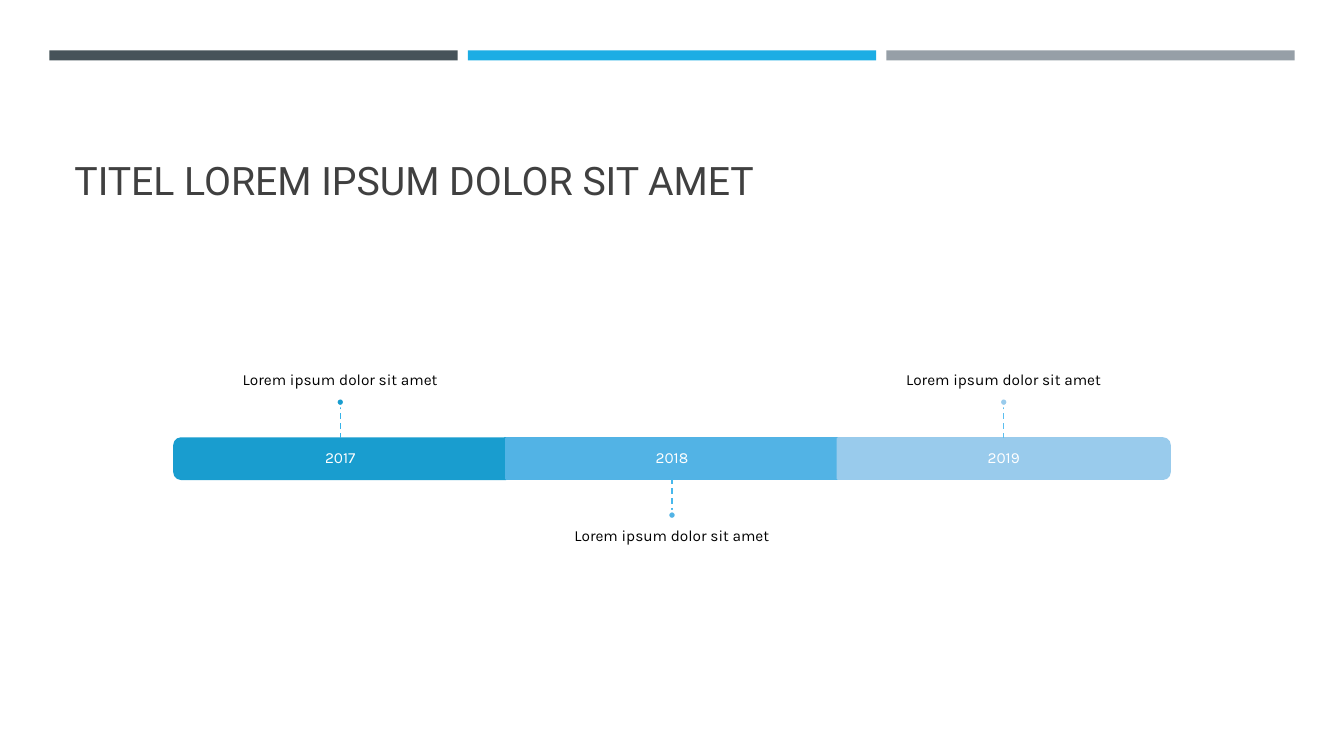
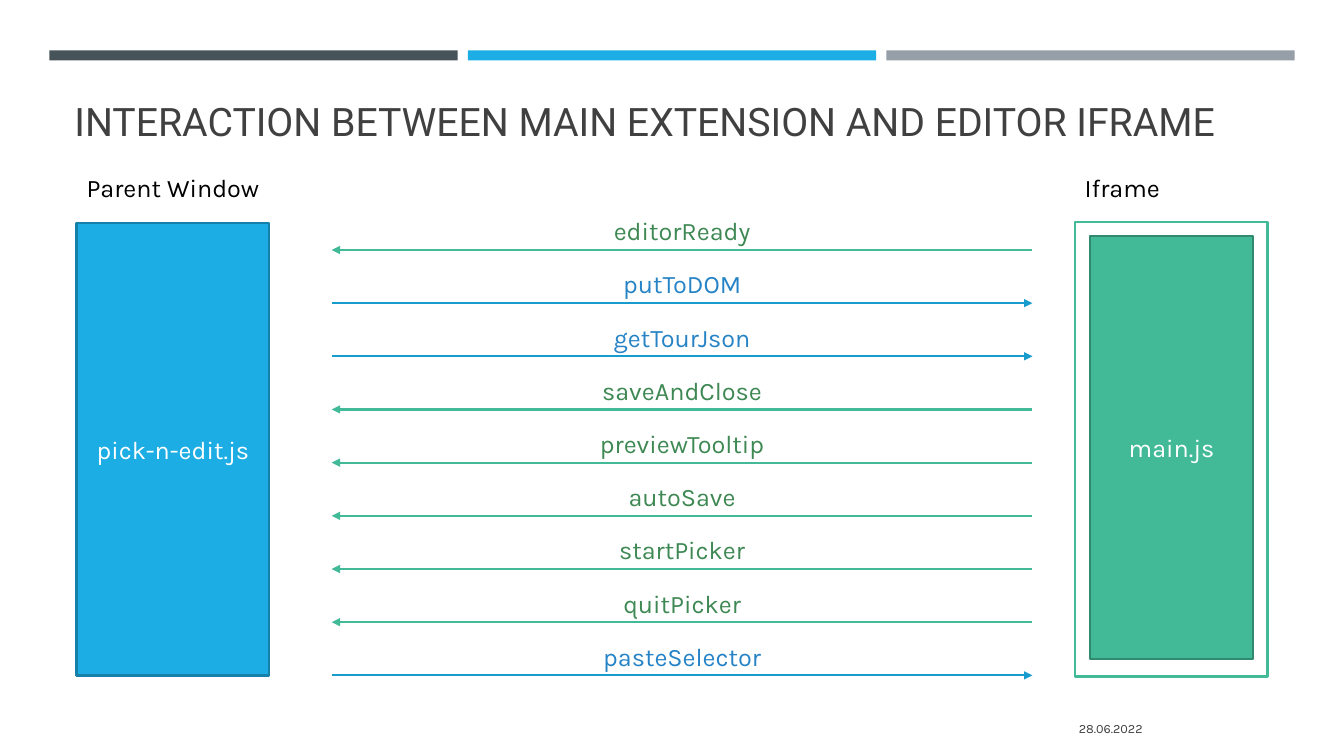
from pptx import Presentation
from pptx.dml.color import RGBColor
from pptx.enum.dml import MSO_LINE
from pptx.enum.shapes import MSO_CONNECTOR, MSO_SHAPE
from pptx.enum.text import MSO_ANCHOR, PP_ALIGN
from pptx.oxml.ns import qn
from pptx.util import Inches, Pt
from lxml import etree

RECT = MSO_SHAPE.RECTANGLE
ROUND_END = MSO_SHAPE.ROUND_2_SAME_RECTANGLE
OVAL = MSO_SHAPE.OVAL
STRAIGHT = MSO_CONNECTOR.STRAIGHT
DASH = MSO_LINE.DASH
TOP, MIDDLE, BOTTOM = MSO_ANCHOR.TOP, MSO_ANCHOR.MIDDLE, MSO_ANCHOR.BOTTOM
LEFT, CENTER, RIGHT = PP_ALIGN.LEFT, PP_ALIGN.CENTER, PP_ALIGN.RIGHT

TITLE_FONT, BODY_FONT = "Roboto", "Karla"
COLORS = {
    "white": "FFFFFF", "black": "000000", "heading": "404040",
    "slate": "465359", "blue": "1CADE4", "gray": "969FA7",
    "blue_edge": "1580A9", "blue_arrow": "189CCE", "blue_text": "2683C6",
    "green": "42BA97", "green_edge": "318A70", "green_text": "3E8853",
    "year1": "199DCF", "year2": "52B3E5", "year3": "99CBEC",
    "stem1": "36B3E9", "stem2": "48B8EC", "stem3": "5ABEEF",
}
INSETS = (0.1, 0.05, 0.1, 0.05)


def rgb(name):
    return RGBColor.from_string(COLORS[name])


def write(sp, text, size, color, align=LEFT, anchor=TOP, font=BODY_FONT,
          insets=INSETS, spacing=None):
    tf = sp.text_frame
    tf.word_wrap = True
    tf.vertical_anchor = anchor
    (tf.margin_left, tf.margin_top,
     tf.margin_right, tf.margin_bottom) = map(Inches, insets)
    p = tf.paragraphs[0]
    p.alignment = align
    if spacing:
        p.line_spacing = spacing
    r = p.add_run()
    r.text = text
    r.font.name = font
    r.font.size = Pt(size)
    r.font.color.rgb = rgb(color)


def add_text(s, box, text, size, color, **style):
    write(s.shapes.add_textbox(*map(Inches, box)), text, size, color, **style)


def add_box(s, kind, box, fill, line=None):
    sp = s.shapes.add_shape(kind, *map(Inches, box))
    sp.shadow.inherit = False
    sp.fill.solid()
    sp.fill.fore_color.rgb = rgb(fill)
    if line:
        sp.line.color.rgb = rgb(line)
        sp.line.width = Pt(1.75)
    else:
        sp.line.fill.background()
    return sp


def add_line(s, start, end, color, width, dash=None, arrow=False):
    line = s.shapes.add_connector(STRAIGHT, *map(Inches, start + end))
    line.line.color.rgb = rgb(color)
    line.line.width = Pt(width)
    if dash:
        line.line.dash_style = dash
    if arrow:
        etree.SubElement(line.line._get_or_add_ln(), qn("a:tailEnd"),
                         type="triangle")
    etree.SubElement(line._element.spPr, qn("a:effectLst"))
    return line


def add_slide(prs, title, title_height):
    """Add a blank slide with the three bands and the title."""
    s = prs.slides.add_slide(prs.slide_layouts[6])
    for i, color in enumerate(("slate", "blue", "gray")):
        add_box(s, RECT, (0.49 + i * 4.15, 0.5, 4.05, 0.1), color)
    add_text(s, (0.64, 0.77, 12.06, title_height), title, 28, "heading",
             anchor=BOTTOM, font=TITLE_FONT)
    return s


def add_milestone(s, index, year, label, above, rotation=None):
    """Add one segment of the timeline bar with its stem, dot and label."""
    width, height, top = 3.29, 0.4, 4.35
    left = 1.73 + index * width
    mid = left + width / 2
    bar_color, stem_color = f"year{index + 1}", f"stem{index + 1}"
    bar_box = (left, top, width, height)
    if rotation is None:
        bar = add_box(s, RECT, bar_box, bar_color, bar_color)
    else:
        upright = (mid - height / 2, top + height / 2 - width / 2, height, width)
        bar = add_box(s, ROUND_END, upright, bar_color, bar_color)
        bar.rotation = rotation
    add_text(s, bar_box, year, 11, "white", align=CENTER, anchor=MIDDLE,
             spacing=0.9)

    stem, dot, label_height = 0.32, 0.08, 1.39
    if above:
        bar_edge, stem_end = top, top - stem
        dot_top = stem_end - dot
        label_top, anchor = dot_top - label_height, BOTTOM
        insets = (0, 0, 0, 0.09)
    else:
        bar_edge, stem_end = top + height, top + height + stem
        dot_top = stem_end
        label_top, anchor = dot_top + dot, TOP
        insets = (0, 0.09, 0, 0)
    line = add_line(s, (mid, bar_edge), (mid, stem_end), stem_color, 1, DASH)
    if rotation is None:
        line.begin_connect(bar, 0 if above else 2)
    add_box(s, OVAL, (mid - dot / 2, dot_top, dot, dot), bar_color, "white")
    add_text(s, (mid - 2.74, label_top, 5.48, label_height), label, 11, "black",
             align=CENTER, anchor=anchor, insets=insets, spacing=0.9)


def add_message(s, y, name, to_iframe):
    """Add a named arrow between the parent window and the iframe."""
    left, right = 3.29, 10.24
    hue = "blue" if to_iframe else "green"
    line_color = "blue_arrow" if to_iframe else "green"
    add_text(s, (left, y - 0.39, right - left, 0.4), name, 18, f"{hue}_text",
             align=CENTER)
    start, end = (left, right) if to_iframe else (right, left)
    add_line(s, (start, y), (end, y), line_color, 1.5, arrow=True)


def build_timeline(prs):
    s = add_slide(prs, "TITEL LOREM IPSUM DOLOR SIT AMET", 1.3)
    label = "Lorem ipsum dolor sit amet"
    add_milestone(s, 0, "2017", label, above=True, rotation=270)
    add_milestone(s, 1, "2018", label, above=False)
    add_milestone(s, 2, "2019", label, above=True, rotation=90)


def build_interaction(prs):
    s = add_slide(prs, "INTERACTION BETWEEN MAIN EXTENSION AND EDITOR IFRAME",
                  0.71)
    add_box(s, RECT, (10.66, 2.2, 1.91, 4.51), "white", "green")
    for box, fill, name in (
        ((0.76, 2.21, 1.91, 4.49), "blue", "pick-n-edit.js"),
        ((10.81, 2.34, 1.62, 4.2), "green", "main.js"),
    ):
        sp = add_box(s, RECT, box, fill, f"{fill}_edge")
        write(sp, name, 18, "white", align=CENTER, anchor=MIDDLE)
    for left, heading in ((0.76, "Parent Window"), (10.66, "Iframe")):
        add_text(s, (left, 1.66, 1.95, 0.4), heading, 18, "black")

    messages = (
        ("editorReady", False), ("putToDOM", True), ("getTourJson", True),
        ("saveAndClose", False), ("previewTooltip", False),
        ("autoSave", False), ("startPicker", False), ("quitPicker", False),
        ("pasteSelector", True),
    )
    first, last = 2.48, 6.7
    step = (last - first) / (len(messages) - 1)
    for i, (name, to_iframe) in enumerate(messages):
        add_message(s, first + i * step, name, to_iframe)
    add_text(s, (8.32, 7.03, 3.11, 0.4), "28.06.2022", 9, "heading",
             align=RIGHT, anchor=MIDDLE)


def main():
    prs = Presentation()
    prs.slide_width, prs.slide_height = Inches(13.33), Inches(7.5)
    build_timeline(prs)
    build_interaction(prs)
    prs.save("out.pptx")


if __name__ == "__main__":
    main()
